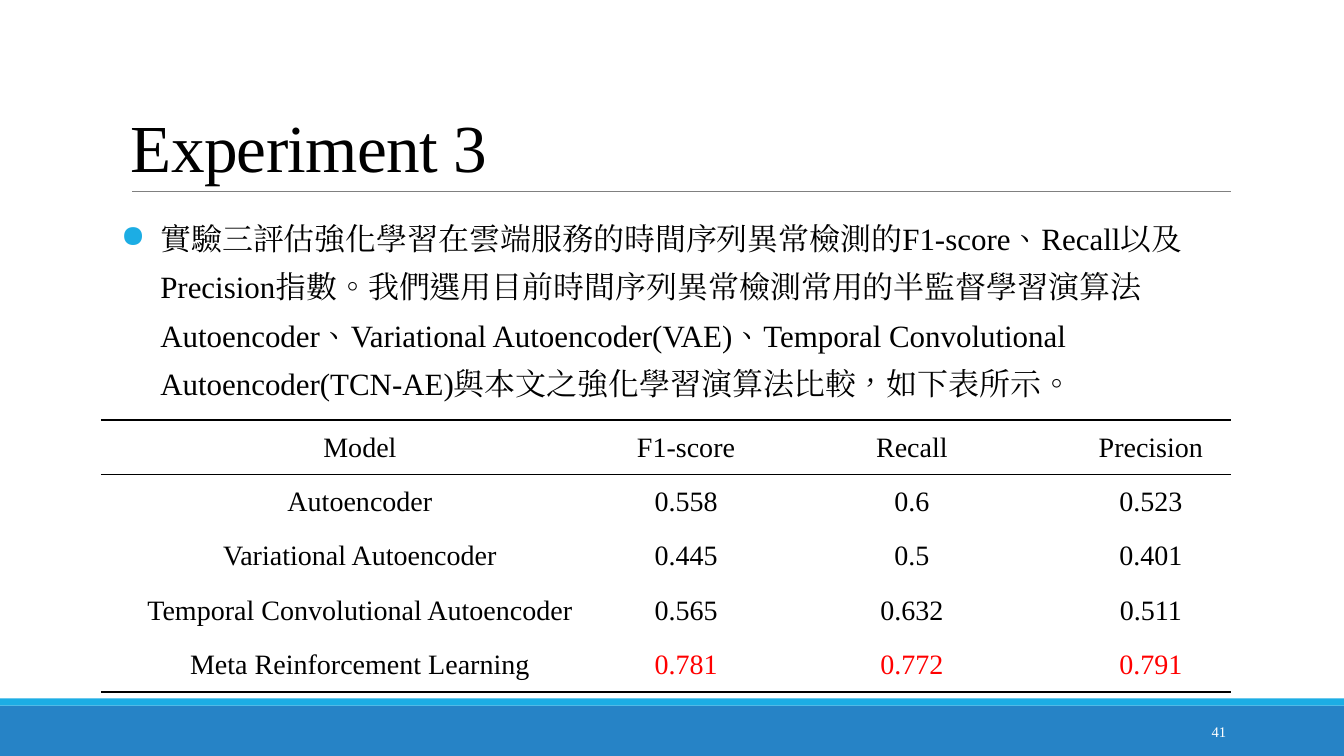
from lxml.etree import SubElement
from pptx import Presentation
from pptx.dml.color import RGBColor
from pptx.enum.lang import MSO_LANGUAGE_ID as Language
from pptx.enum.shapes import MSO_CONNECTOR, MSO_SHAPE
from pptx.enum.text import MSO_ANCHOR as Anchor, PP_ALIGN as Align
from pptx.oxml.ns import qn
from pptx.util import Inches, Pt

FONT = "Times New Roman"
BODY = (
    "實驗三評估強化學習在雲端服務的時間序列異常檢測的F1-score、Recall以及Precision指數。"
    "我們選用目前時間序列異常檢測常用的半監督學習演算法Autoencoder、"
    "Variational Autoencoder(VAE)、Temporal Convolutional Autoencoder(TCN-AE)"
    "與本文之強化學習演算法比較，如下表所示。"
)
SCORES = [
    ("Model", "F1-score", "Recall", "Precision"),
    ("Autoencoder", "0.558", "0.6", "0.523"),
    ("Variational Autoencoder", "0.445", "0.5", "0.401"),
    ("Temporal Convolutional Autoencoder", "0.565", "0.632", "0.511"),
    ("Meta Reinforcement Learning", "0.781", "0.772", "0.791"),
]
COLUMN_WIDTHS = [5.14, 1.33, 3.15, 1.59]
ROW_HEIGHT = 0.54
RULE_WIDTHS = [1.5, 1, 0, 0, 0, 1.5]  # above each row, then below the last


def rgb(color):
    return RGBColor.from_string(color)


def write(frame, text, size=20, color="000000", align=Align.LEFT, language=None,
          line_spacing=1.0, before=0, after=0, tracking=0):
    """Put one formatted paragraph in the frame and return it."""
    paragraph = frame.paragraphs[0]
    paragraph.alignment = align
    paragraph.line_spacing = line_spacing
    paragraph.space_before = Pt(before)
    paragraph.space_after = Pt(after)
    run = paragraph.add_run()
    run.text = text
    font = run.font
    font.name = FONT
    font.size = Pt(size)
    font.color.rgb = rgb(color)
    if language:
        font.language_id = language
    properties = run._r.get_or_add_rPr()
    SubElement(properties, qn("a:ea"), typeface=FONT)
    if tracking:
        properties.set("spc", str(round(tracking * 100)))
    return paragraph


def add_bar(slide, top, height, color):
    bar = slide.shapes.add_shape(
        MSO_SHAPE.RECTANGLE, 0, Inches(top), Inches(13.33), Inches(height))
    bar.shadow.inherit = False
    bar.fill.solid()
    bar.fill.fore_color.rgb = rgb(color)
    bar.line.fill.background()


def add_title_rule(slide):
    rule = slide.shapes.add_connector(
        MSO_CONNECTOR.STRAIGHT, Inches(1.31), Inches(1.9), Inches(12.21), Inches(1.9))
    rule.line.color.rgb = rgb("808080")
    rule.line.width = Pt(0.5)
    SubElement(rule._element.spPr, qn("a:effectLst"))


def add_text(slide, text, left, top, width, height, anchor=Anchor.TOP, side_inset=0.1,
             **text_format):
    box = slide.shapes.add_textbox(
        Inches(left), Inches(top), Inches(width), Inches(height))
    frame = box.text_frame
    frame.word_wrap = True
    frame.vertical_anchor = anchor
    frame.margin_left = frame.margin_right = Inches(side_inset)
    return write(frame, text, **text_format)


def add_bullet(paragraph, color, indent):
    properties = paragraph._p.get_or_add_pPr()
    properties.set("marL", str(Inches(indent)))
    properties.set("indent", str(-Inches(indent)))
    bullet_color = SubElement(properties, qn("a:buClr"))
    SubElement(bullet_color, qn("a:srgbClr"), val=color)
    SubElement(properties, qn("a:buChar"), char="●")


def set_border(cell, side, width):
    """Draw a black cell edge, or none when the width is zero."""
    line = SubElement(cell._tc.get_or_add_tcPr(), qn(f"a:ln{side}"), w=str(Pt(width)))
    if width:
        fill = SubElement(line, qn("a:solidFill"))
        SubElement(fill, qn("a:srgbClr"), val="000000")
    else:
        SubElement(line, qn("a:noFill"))


def add_score_table(slide):
    table = slide.shapes.add_table(
        len(SCORES), len(COLUMN_WIDTHS), Inches(1), Inches(4.17),
        Inches(sum(COLUMN_WIDTHS)), Inches(ROW_HEIGHT * len(SCORES))).table
    table.first_row = table.horz_banding = False
    for column, width in zip(table.columns, COLUMN_WIDTHS):
        column.width = Inches(width)
    for row_index, scores in enumerate(SCORES):
        table.rows[row_index].height = Inches(ROW_HEIGHT)
        is_best = row_index == len(SCORES) - 1
        for column_index, text in enumerate(scores):
            cell = table.cell(row_index, column_index)
            cell.vertical_anchor = Anchor.MIDDLE
            cell.margin_left = cell.margin_right = Inches(0.07)
            cell.margin_top = cell.margin_bottom = 0
            for side, width in (("L", 0), ("R", 0), ("T", RULE_WIDTHS[row_index]),
                                ("B", RULE_WIDTHS[row_index + 1])):
                set_border(cell, side, width)
            cell.fill.background()
            color = "FF0000" if is_best and column_index else "000000"
            write(cell.text_frame, text, color=color, align=Align.CENTER, after=3)


def main():
    presentation = Presentation()
    presentation.slide_width = Inches(13.33)
    presentation.slide_height = Inches(7.5)
    slide = presentation.slides.add_slide(presentation.slide_layouts[6])

    add_bar(slide, 7, 0.5, "2683C6")
    add_bar(slide, 6.93, 0.07, "1CADE4")
    add_title_rule(slide)
    add_text(slide, "Experiment 3", 1.2, 0.31, 11, 1.59, anchor=Anchor.BOTTOM,
             size=48, line_spacing=0.85, tracking=-0.5)
    body = add_text(slide, BODY, 1.2, 2.02, 11, 1.97, side_inset=0, size=22.1,
                    language=Language.TRADITIONAL_CHINESE,
                    line_spacing=1.3, before=12, after=2)
    add_bullet(body, "1CADE4", 0.39)
    add_text(slide, "41", 10.83, 7.06, 1.43, 0.4, anchor=Anchor.MIDDLE,
             size=10.5, color="FFFFFF", align=Align.RIGHT)
    add_score_table(slide)
    presentation.save("out.pptx")


if __name__ == "__main__":
    main()
